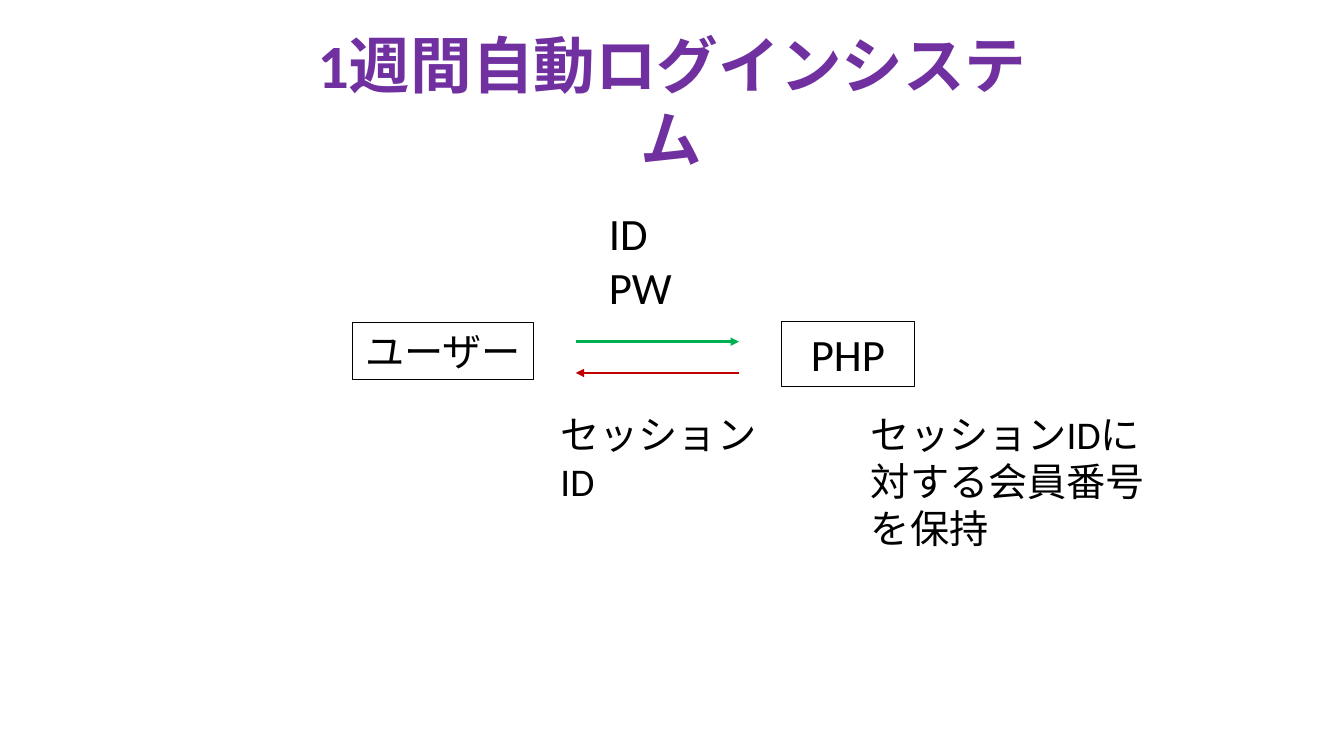
from lxml.etree import SubElement
from pptx import Presentation
from pptx.dml.color import RGBColor
from pptx.enum.shapes import MSO_CONNECTOR as Connector, MSO_SHAPE as Shape
from pptx.enum.text import MSO_ANCHOR as Anchor, MSO_AUTO_SIZE as AutoSize, PP_ALIGN as Align
from pptx.oxml.ns import qn
from pptx.util import Inches, Pt

BLACK = RGBColor(0x00, 0x00, 0x00)
PURPLE = RGBColor(0x70, 0x30, 0xA0)
GREEN = RGBColor(0x00, 0xB0, 0x50)
RED = RGBColor(0xC0, 0x00, 0x00)


class Diagram:
    """Places elements on a grid of tenth-of-an-inch columns and rows."""

    font_name = "Calibri"
    cell = Inches(0.1)

    def __init__(self, slide):
        self.slide = slide

    def grid(self, *cells):
        return [round(count * self.cell) for count in cells]

    def fill_text(self, shape, lines, size, color=BLACK, align=Align.LEFT, bold=False):
        frame = shape.text_frame
        frame.word_wrap = True
        frame.auto_size = AutoSize.SHAPE_TO_FIT_TEXT
        frame.vertical_anchor = Anchor.TOP
        frame.text = "\n".join(lines)
        for paragraph in frame.paragraphs:
            paragraph.alignment = align
            font = paragraph.font
            font.name, font.size, font.bold = self.font_name, Pt(size), bold
            font.color.rgb = color

    def text(self, area, *lines, size=28, **style):
        self.fill_text(self.slide.shapes.add_textbox(*self.grid(*area)), lines, size, **style)

    def box(self, area, label, size):
        shape = self.slide.shapes.add_shape(Shape.RECTANGLE, *self.grid(*area))
        shape.shadow.inherit = False
        shape.fill.background()
        shape.line.color.rgb = BLACK
        shape.line.width = Pt(0.75)
        self.fill_text(shape, [label], size, align=Align.CENTER)

    def arrow(self, start, end, row, color):
        connector = self.slide.shapes.add_connector(
            Connector.STRAIGHT, *self.grid(start, row, end, row))
        connector.line.color.rgb = color
        connector.line.width = Pt(2)
        properties = connector.element.spPr
        SubElement(properties.find(qn("a:ln")), qn("a:tailEnd"), type="triangle")
        SubElement(properties, qn("a:effectLst"))


def main():
    presentation = Presentation()
    presentation.slide_width = Inches(13.33)
    presentation.slide_height = Inches(7.5)
    diagram = Diagram(presentation.slides.add_slide(presentation.slide_layouts[6]))

    # Title
    diagram.text((28.5, 2.2, 76.2, 8.4), "1週間自動ログインシステム",
                 size=44, color=PURPLE, align=Align.CENTER, bold=True)

    # User and server
    diagram.box((35, 32, 17.9, 5.7), "ユーザー", 28)
    diagram.box((77.5, 31.9, 13.2, 6.4), "PHP", 32)

    # Login request and session reply
    user_side, server_side = 57.1, 73.3
    diagram.arrow(user_side, server_side, 33.9, GREEN)
    diagram.arrow(server_side, user_side, 37, RED)
    diagram.text((59.4, 19.9, 11.7, 11.8), "ID", "PW", size=32)

    # Notes below
    notes_row = 40.2
    diagram.text((54.6, notes_row, 23.5, 5.7), "セッションID")
    diagram.text((85.4, notes_row, 30.4, 15.1), "セッションIDに対する会員番号を保持")

    presentation.save("out.pptx")


if __name__ == "__main__":
    main()
